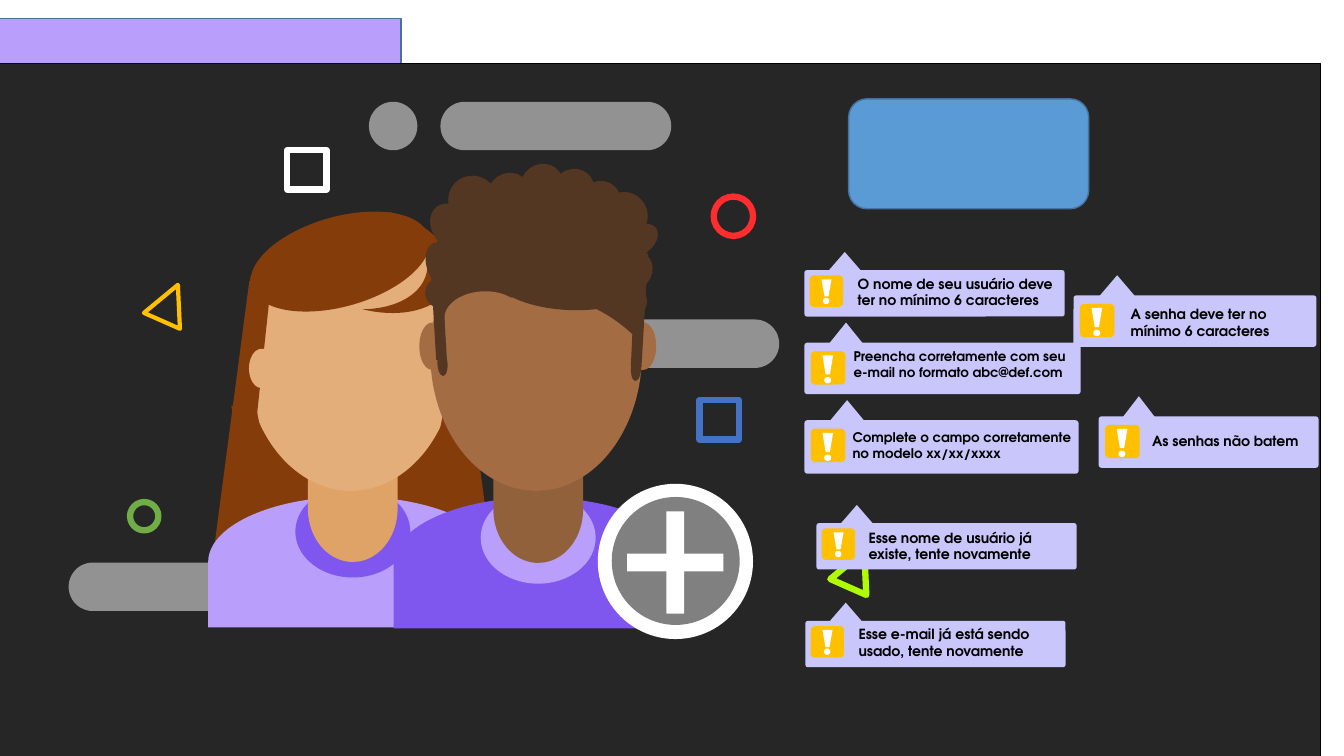
import pptx
import pptx.util
from lxml import etree
from pptx.dml.color import RGBColor
from pptx.enum.shapes import MSO_SHAPE
from pptx.enum.text import MSO_AUTO_SIZE
from pptx.oxml.ns import qn
from pptx.util import Pt

FONT = "TeX Gyre Adventor"
BLACK = RGBColor(0x00, 0x00, 0x00)
WHITE = RGBColor(0xFF, 0xFF, 0xFF)
CHARCOAL = RGBColor(0x26, 0x26, 0x26)
GRAY = RGBColor(0x80, 0x80, 0x80)
LILAC = RGBColor(0xB9, 0x9F, 0xFB)
VIOLET = RGBColor(0x7F, 0x57, 0xEF)
BUBBLE = RGBColor(0xC8, 0xC6, 0xFA)
AMBER = RGBColor(0xFF, 0xC0, 0x00)
SKY = RGBColor(0x5B, 0x9B, 0xD5)
STEEL = RGBColor(0x43, 0x73, 0x9E)
RED = RGBColor(0xFF, 0x2D, 0x2D)
GREEN = RGBColor(0x70, 0xAD, 0x47)
BLUE = RGBColor(0x44, 0x72, 0xC4)
LIME = RGBColor(0xAF, 0xFB, 0x05)
PALE_SKIN = RGBColor(0xE3, 0xAE, 0x79)
PALE_NECK = RGBColor(0xDF, 0xA3, 0x67)
BROWN_SKIN = RGBColor(0xA3, 0x6C, 0x43)
BROWN_NECK = RGBColor(0x91, 0x61, 0x3C)
AUBURN = RGBColor(0x84, 0x3C, 0x0B)
DARK_HAIR = RGBColor(0x54, 0x37, 0x22)

RECT = MSO_SHAPE.RECTANGLE
ROUND = MSO_SHAPE.ROUNDED_RECTANGLE
OVAL = MSO_SHAPE.OVAL
DELAY = MSO_SHAPE.FLOWCHART_DELAY
TRAPEZOID = MSO_SHAPE.TRAPEZOID
MOON = MSO_SHAPE.MOON
TRIANGLE = MSO_SHAPE.ISOSCELES_TRIANGLE
PLUS = MSO_SHAPE.MATH_PLUS

# Each part: preset, (left, top, width, height), fill, rotation, adjustment
WOMAN = [
    (OVAL, (180, 203.8, 141.8, 144), PALE_SKIN),
    (TRAPEZOID, (153.4, 200.9, 196.6, 187.2), AUBURN, 0, 0.132),
    (DELAY, (205.2, 298.1, 93.6, 206.6), LILAC, 270),
    (OVAL, (211, 347, 82.1, 65.5), VIOLET),
    (DELAY, (213.8, 331.2, 76.3, 64.1), PALE_NECK, 90),
    (OVAL, (175, 154.8, 151.2, 195.8), PALE_SKIN),
    (MOON, (267.1, 157, 56.9, 72), AUBURN, 194.3, 0.335),
    (OVAL, (177.1, 154.8, 131.8, 64.1), AUBURN, 344.1),
    (RECT, (172.8, 197.3, 15.1, 116.6), AUBURN, 6.1),
    (RECT, (313.9, 192.2, 14.4, 127.4), AUBURN, 356),
    (RECT, (169.2, 288, 17.3, 43.2), AUBURN, 349),
    (RECT, (313.9, 288, 17.3, 43.2), AUBURN, 11),
    (DELAY, (306.7, 249.8, 18, 28.1), PALE_SKIN),
    (DELAY, (177.8, 249.1, 18, 28.1), PALE_SKIN, 180),
]
MAN = [
    (DELAY, (337.7, 298.8, 93.6, 206.6), VIOLET, 270),
    (OVAL, (343.4, 351.4, 82.1, 65.5), LILAC),
    (DELAY, (346.3, 331.9, 76.3, 64.1), BROWN_NECK, 90),
    (OVAL, (307.4, 154.8, 151.2, 195.8), BROWN_SKIN),
    (DELAY, (299.5, 230.4, 18, 33.8), BROWN_SKIN, 180),
    (DELAY, (450.7, 230.4, 18, 33.8), BROWN_SKIN),
    (TRAPEZOID, (308.9, 175.7, 8.6, 81.4), DARK_HAIR, 177, 0.059),
    (OVAL, (312.5, 251.3, 7.2, 17.3), DARK_HAIR, 177),
    (TRAPEZOID, (452.2, 180.7, 8.6, 81.4), DARK_HAIR, 183, 0.059),
    (OVAL, (450.7, 254.9, 7.2, 17.3), DARK_HAIR, 183),
    (MOON, (339.8, 126.7, 87.8, 144), DARK_HAIR, 90, 0.636),
    (DELAY, (385.2, 151.2, 38.9, 101.5), DARK_HAIR, 93.8),
    (DELAY, (327.6, 198, 35.3, 55.4), BROWN_SKIN, 266.7),
    (OVAL, (305.3, 172.1, 23, 36.7), DARK_HAIR, 336.6),
    (DELAY, (355.7, 87.8, 61.9, 148.3), DARK_HAIR, 270),
]
CURLS = [
    (308.9, 144, 28.1, 36.7), (320.4, 125.3, 35.3, 36.7), (347.8, 123.8, 31, 28.8),
    (371.5, 117.4, 31, 28.8), (393.8, 121, 31, 28.8), (412.6, 129.6, 31, 28.8),
    (431.3, 136.8, 31, 33.1), (440.6, 162, 31, 20.2), (435.6, 178.6, 31, 28.8),
    (440.6, 204.5, 21.6, 21.6), (303.8, 198.7, 20.9, 21.6),
]
MAN += [(OVAL, curl, DARK_HAIR, 323.9) for curl in CURLS]
ADD_BADGE = [
    (OVAL, (427, 345.6, 110.9, 110.9), WHITE),
    (OVAL, (437, 355, 91.4, 91.4), GRAY),
    (PLUS, (435.6, 352.1, 93.6, 99.4), WHITE, 0, 0.136),
]
BAR_SIZE = (164.9, 34.6)
BACK_BARS = [(391.7, 228.2), (49, 401.8)]
TOP_BAR = (314.6, 72.7)
TOP_DOT = (263.5, 72.7, 34.6, 34.6)

# Each ornament: preset, left, top, side, line colour, line width, rotation
ORNAMENTS = [
    (OVAL, 509.8, 140.4, 28.1, RED, 4.5, 0),
    (OVAL, 92.9, 358.6, 20.2, GREEN, 4.5, 0),
    (RECT, 205.2, 107.3, 28.1, WHITE, 4.5, 0),
    (RECT, 499.7, 285.8, 28.1, BLUE, 4.5, 0),
    (TRIANGLE, 107.3, 202.3, 28.1, AMBER, 3, 23.9),
    (TRIANGLE, 597.6, 392.4, 28.1, LIME, 4.5, 23.9),
]

# Places of the bubble parts, measured from the bubble's top left corner
COMPACT = {"pointer": (5.8, -13, 26.6), "icon": (4.5, 4.5, 22.3, 20.9),
           "mark": (12.2, 6.5, 7.2, 12.2), "dot": (13.7, 20.2, 3.6, 3.6)}
TALL = {"pointer": (6, -14.4, 29.5), "icon": (5.3, 6.8, 23.2, 22.3),
        "mark": (12.9, 9, 7.6, 13.7), "dot": (14.6, 25, 4, 3.6)}
# Each message: text, size, layout, bubble frame, pointer width, text frame
MESSAGES = [
    ("O nome de seu usuário deve ter no mínimo 6 caracteres", 10, COMPACT,
     (574.6, 193, 185.8, 33.1), 46.1, (605.5, 193, 165.6, 40.3)),
    ("Preencha corretamente com seu e-mail no formato abc@def.com", 9.5, TALL,
     (574.6, 244.8, 197.3, 36.7), 47.5, (602.6, 245.5, 169.2, 43.2)),
    ("Complete o campo corretamente no modelo xx/xx/xxxx", 9.5, TALL,
     (574.6, 300.2, 195.8, 38.2), 49, (601.9, 303.1, 177.1, 43.2)),
    ("A senha deve ter no mínimo 6 caracteres", 10, TALL,
     (766.8, 211, 173.5, 36.7), 50.4, (800.6, 214.6, 148.3, 43.9)),
    ("As senhas não batem", 10, TALL,
     (784.8, 297.4, 157, 36.7), 45.4, (815.8, 305.3, 121, 32.4)),
    ("Esse nome de usuário já existe, tente novamente", 10, COMPACT,
     (583.2, 373.7, 185.8, 33.1), 46.1, (613.4, 374.4, 163.4, 43.9)),
    ("Esse e-mail já está sendo usado, tente novamente", 10, COMPACT,
     (575.3, 443.5, 185.8, 33.1), 46.1, (606.2, 443.5, 163.4, 43.9)),
]


def paint(shape, fill, line=None, line_width=1):
    shape.shadow.inherit = False
    if fill is None:
        shape.fill.background()
    else:
        shape.fill.solid()
        shape.fill.fore_color.rgb = fill
    if line is None:
        shape.line.fill.background()
    else:
        shape.line.color.rgb = line
        shape.line.width = Pt(line_width)


def add_part(parent, preset, frame, fill, rotation=0, adjustment=None, line=None, line_width=1):
    shape = parent.shapes.add_shape(preset, *map(Pt, frame))
    paint(shape, fill, line, line_width)
    shape.rotation = rotation
    if adjustment is not None:
        shape.adjustments[0] = adjustment
    return shape


def add_translucent(parent, preset, frame, adjustment=None):
    shape = add_part(parent, preset, frame, WHITE, 0, adjustment)
    color = shape.element.spPr.find(qn("a:solidFill"))[0]
    etree.SubElement(color, qn("a:alpha")).set("val", "50000")


def add_message(slide, text, size, layout, frame, pointer_width, text_frame):
    group = slide.shapes.add_group_shape()
    left, top = frame[:2]

    def place(name):
        x, y, *extent = layout[name]
        return (left + x, top + y, *extent)

    x, y, height = place("pointer")
    add_part(group, TRIANGLE, (x, y, pointer_width, height), BUBBLE)
    add_part(group, ROUND, frame, BUBBLE, 0, 0.054)
    add_part(group, ROUND, place("icon"), AMBER, 0, 0.103, AMBER, 1.5)
    x, y, width, height = place("mark")
    builder = group.shapes.build_freeform(Pt(x), Pt(y))
    corners = [(x + width, y), (x + 0.7 * width, y + height), (x + 0.3 * width, y + height)]
    builder.add_line_segments([(Pt(a), Pt(b)) for a, b in corners], close=True)
    paint(builder.convert_to_shape(), WHITE)
    add_part(group, OVAL, place("dot"), WHITE, line=WHITE)

    box = group.shapes.add_textbox(*map(Pt, text_frame)).text_frame
    box.word_wrap = True
    box.auto_size = MSO_AUTO_SIZE.SHAPE_TO_FIT_TEXT
    box.text = text
    font = box.paragraphs[0].runs[0].font
    font.name, font.size, font.bold = FONT, Pt(size), True
    font.color.rgb = BLACK


def main():
    presentation = pptx.Presentation()
    presentation.slide_width, presentation.slide_height = Pt(960), Pt(540)
    slide = presentation.slides.add_slide(presentation.slide_layouts[6])
    add_part(slide, RECT, (-3.6, 13, 290.2, 236.2), LILAC, line=STEEL)
    add_part(slide, RECT, (-11.5, 45.4, 954.7, 519.8), CHARCOAL, line=BLACK)

    illustration = slide.shapes.add_group_shape()
    for corner in BACK_BARS:
        add_translucent(illustration, ROUND, corner + BAR_SIZE, 0.5)
    for part in WOMAN + MAN + ADD_BADGE:
        add_part(illustration, *part)
    for preset, left, top, side, color, width, rotation in ORNAMENTS:
        add_part(illustration, preset, (left, top, side, side), None, rotation,
                 line=color, line_width=width)
    add_translucent(illustration, ROUND, TOP_BAR + BAR_SIZE, 0.5)
    add_translucent(illustration, OVAL, TOP_DOT)

    add_part(slide, ROUND, (606.2, 70.6, 171.4, 78.5), SKY, line=STEEL)
    for message in MESSAGES:
        add_message(slide, *message)
    presentation.save("out.pptx")


if __name__ == "__main__":
    main()
